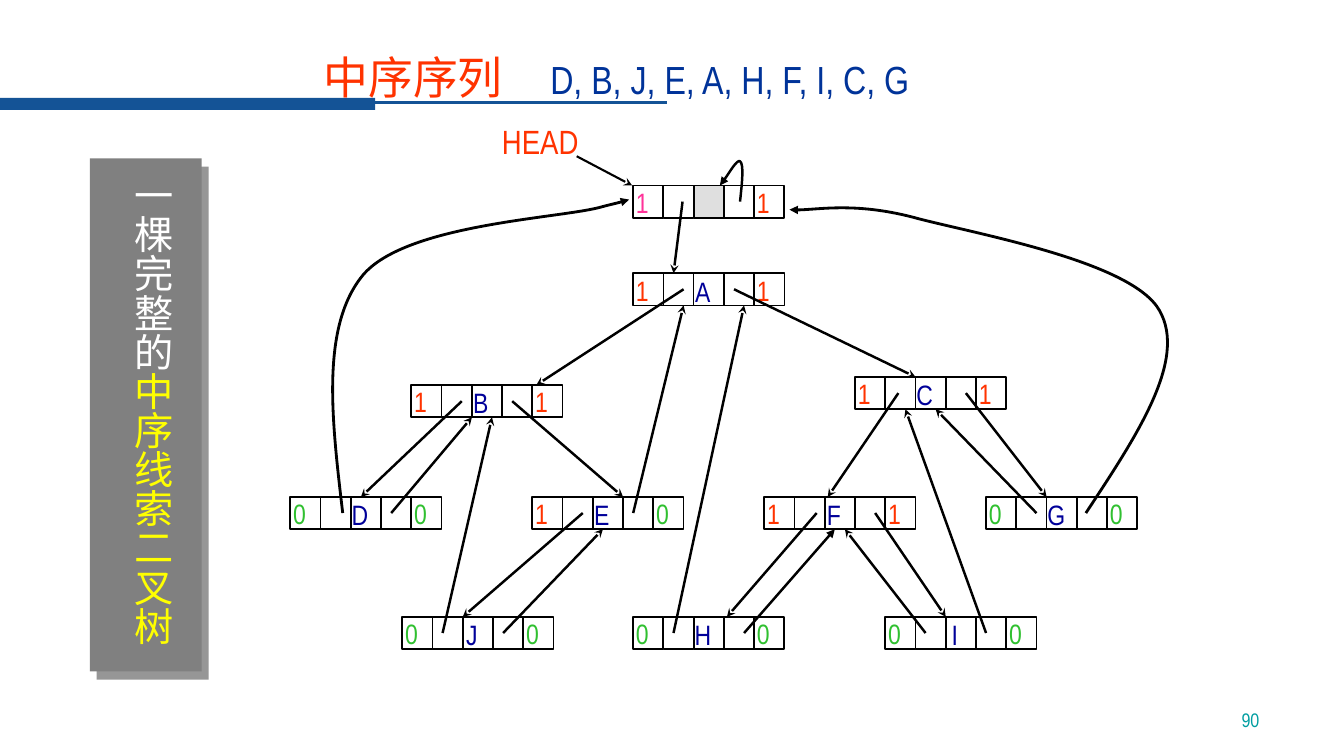
from dataclasses import dataclass

from lxml import etree
from pptx import Presentation
from pptx import util as u
from pptx.dml.color import RGBColor
from pptx.enum import shapes, text
from pptx.oxml.ns import qn

Inches, Pt = u.Inches, u.Pt


@dataclass(frozen=True)
class Theme:
    latin: str = "Arial Narrow"
    chinese: str = "Noto Sans CJK SC"
    rule: str = "145396"
    panel: str = "808080"
    panel_shadow: str = "969696"
    white: str = "FFFFFF"
    yellow: str = "FFFF00"
    black: str = "000000"
    red: str = "FF3300"
    pink: str = "FF3399"
    green: str = "30C030"
    letter: str = "000099"
    sequence: str = "003399"
    unused: str = "C0C0C0"
    page: str = "009EA1"
    title_size: int = 32
    heading_size: int = 28
    head_size: int = 24
    cell_size: int = 20
    page_size: int = 14


@dataclass(frozen=True)
class Box:
    x: float
    y: float
    w: float
    h: float

    def inner(self, dx, dy, w, h):
        return Box(self.x + dx, self.y + dy, w, h)

    def inches(self):
        return [Inches(v) for v in (self.x, self.y, self.w, self.h)]


THEME = Theme()
CELL_W, CELL_H, CELLS = 0.3, 0.32, 5

RECORDS = {
    "HEAD": (3.48, 0.74, "1", "1"),
    "A": (3.48, 1.61, "1", "1"),
    "B": (1.28, 2.72, "1", "1"),
    "C": (5.68, 2.64, "1", "1"),
    "D": (0.08, 3.83, "0", "0"),
    "E": (2.48, 3.83, "1", "0"),
    "F": (4.78, 3.83, "1", "1"),
    "G": (6.98, 3.83, "0", "0"),
    "J": (1.19, 5.02, "0", "0"),
    "H": (3.48, 5.02, "0", "0"),
    "I": (5.98, 5.02, "0", "0"),
}
CHILD_LINKS = [
    ("HEAD", 0.49, "A", 0.4), ("A", 0.5, "B", 1.24), ("A", 1.0, "C", 0.6),
    ("B", 0.5, "D", 0.7), ("B", 1.0, "E", 0.9), ("C", 0.43, "F", 0.63),
    ("C", 1.1, "G", 0.6), ("E", 0.5, "J", 0.6), ("F", 0.52, "H", 0.93),
    ("F", 1.1, "I", 0.6),
]
THREADS = [
    ("D", 1.0, "B", 0.6), ("J", 0.4, "B", 0.8), ("J", 1.0, "E", 0.7),
    ("E", 1.0, "A", 0.5), ("H", 0.4, "A", 1.1), ("H", 1.1, "F", 0.7),
    ("I", 0.4, "F", 0.8), ("I", 1.0, "C", 0.5), ("G", 0.5, "C", 0.8),
]
D_TO_HEAD = [(0.6, 3.99), (0.49, 3.06), (0.38, 2.14), (0.8, 1.63), (1.22, 1.13),
             (2.7, 1.07), (3.14, 0.96), (3.25, 0.93), (3.35, 0.91), (3.44, 0.88)]
G_TO_HEAD = [(7.97, 3.99), (8.47, 3.23), (8.98, 2.47), (8.7, 1.98), (8.43, 1.5),
             (6.93, 1.23), (6.31, 1.07), (5.7, 0.9), (5.21, 1.0), (5.03, 0.98)]
HEAD_TO_SELF = [(4.54, 0.9), (4.56, 0.71), (4.58, 0.53), (4.54, 0.5),
                (4.51, 0.48), (4.38, 0.7), (4.34, 0.74)]


def rgb(color):
    return RGBColor.from_string(color)


def style_line(shape, color, width, head=None):
    shape.line.color.rgb = rgb(color)
    shape.line.width = Pt(width)
    if head:
        etree.SubElement(shape.element.spPr.find(qn("a:ln")), qn("a:tailEnd"), type=head)


def add_rect(slide, box, fill=None):
    rect = slide.shapes.add_shape(shapes.MSO_SHAPE.RECTANGLE, *box.inches())
    rect.shadow.inherit = False
    if fill:
        rect.fill.solid()
        rect.fill.fore_color.rgb = rgb(fill)
    else:
        rect.fill.background()
    rect.line.fill.background()
    return rect


def add_line(slide, start, end, color, width, head=None):
    line = slide.shapes.add_connector(
        shapes.MSO_CONNECTOR.STRAIGHT, *[Inches(v) for v in (*start, *end)])
    style_line(line, color, width, head)
    etree.SubElement(line.element.spPr, qn("a:effectLst"))


def add_curve(slide, box, points, width):
    start, *rest = [(Inches(box.x + x), Inches(box.y + y)) for x, y in points]
    builder = slide.shapes.build_freeform(*start)
    builder.add_line_segments(rest, close=False)
    curve = builder.convert_to_shape()
    curve.shadow.inherit = False
    curve.fill.background()
    style_line(curve, THEME.black, width, "triangle")
    outline = curve.element.spPr.find(".//" + qn("a:path"))
    steps = outline.findall(qn("a:lnTo"))
    for i in range(0, len(steps), 3):
        bezier = etree.SubElement(outline, qn("a:cubicBezTo"))
        for step in steps[i:i + 3]:
            bezier.append(step[0])
            outline.remove(step)


def add_text(slide, box, words, size, color, font=THEME.latin, wrap=True, align=None):
    frame = slide.shapes.add_textbox(*box.inches()).text_frame
    frame.word_wrap = wrap
    frame.auto_size = text.MSO_AUTO_SIZE.SHAPE_TO_FIT_TEXT
    paragraph = frame.paragraphs[0]
    paragraph.add_run().text = words
    paragraph.font.size = Pt(size)
    paragraph.font.name = font
    paragraph.font.color.rgb = rgb(color)
    paragraph.alignment = align
    return frame


def add_shadow(parent, color, distance, angle):
    shadow = etree.SubElement(parent, qn("a:outerShdw"), dist=str(Pt(distance)),
                              dir=str(angle * 60000), algn="ctr", rotWithShape="0")
    etree.SubElement(shadow, qn("a:srgbClr"), val=color)


def shade_run(run):
    effects = etree.SubElement(run.font._element, qn("a:effectLst"))
    add_shadow(effects, THEME.black, 2, 45)


def draw_header(slide, box):
    add_rect(slide, box.inner(0, 0.53, 3.72, 0.12), THEME.rule)
    add_line(slide, (box.x + 3.68, box.y + 0.58), (box.x + 6.62, box.y + 0.58),
             THEME.rule, 2.25)
    add_text(slide, box.inner(5.36, 0.06, 6.44, 0.57), "D, B, J, E, A, H, F, I, C, G",
             THEME.heading_size, THEME.sequence)
    title = add_text(slide, box.inner(3.11, 0, 2.89, 0.64), "中序序列",
                     THEME.title_size, THEME.red, THEME.chinese)
    shade_run(title.paragraphs[0].runs[0])


def draw_side_panel(slide, box):
    panel = add_rect(slide, box, THEME.panel)
    add_shadow(panel.element.spPr.find(qn("a:effectLst")), THEME.panel_shadow, 7.8, 50)
    caption = add_text(slide, box.inner(-0.21, 0.08, 1.06, 4.94), "一棵完整的",
                       THEME.heading_size, THEME.white)
    caption._txBody.bodyPr.set("vert", "eaVert")
    paragraph = caption.paragraphs[0]
    paragraph.line_spacing = 0.9
    paragraph.add_run().text = "中序线索二叉树"
    for run, color in zip(paragraph.runs, (THEME.white, THEME.yellow)):
        run.font.color.rgb = rgb(color)
        shade_run(run)


def draw_record(slide, box, name, left_flag, right_flag):
    is_head = name == "HEAD"
    for i in range(CELLS):
        unused = is_head and i == 2
        cell = add_rect(slide, box.inner(i * CELL_W, 0, CELL_W, CELL_H),
                        THEME.unused if unused else None)
        style_line(cell, THEME.black, 1 if name == "A" else 1.25)
        if unused:
            tint = cell.element.spPr.find(qn("a:solidFill"))[0]
            etree.SubElement(tint, qn("a:alpha"), val="50000")
    for i, flag in ((0, left_flag), (CELLS - 1, right_flag)):
        color = THEME.red if flag == "1" else THEME.green
        if is_head and i == 0:
            color = THEME.pink
        add_text(slide, box.inner(i * CELL_W - 0.07, -0.05, 0.33, 0.44), flag,
                 THEME.cell_size, color, wrap=False)
    if not is_head:
        add_text(slide, box.inner(0.51, -0.04, 0.36, 0.44), name, THEME.cell_size,
                 THEME.letter, wrap=False, align=text.PP_ALIGN.CENTER)


def draw_tree(slide, box):
    add_text(slide, box.inner(2.08, 0.05, 1.68, 0.51), "HEAD", THEME.head_size, THEME.red)
    records = {}
    for name, (x, y, left_flag, right_flag) in RECORDS.items():
        records[name] = box.inner(x, y, CELLS * CELL_W, CELL_H)
        draw_record(slide, records[name], name, left_flag, right_flag)
    for links, edge in ((CHILD_LINKS, 0), (THREADS, CELL_H)):
        for source, start_dx, target, end_dx in links:
            a, b = records[source], records[target]
            add_line(slide, (a.x + start_dx, a.y + CELL_H / 2), (b.x + end_dx, b.y + edge),
                     THEME.black, 1.75, "triangle" if source + target == "HF" else "stealth")
    add_line(slide, (box.x + 2.92, box.y + 0.45), (box.x + 3.47, box.y + 0.74),
             THEME.black, 1.5, "stealth")
    for points, width in ((D_TO_HEAD, 2), (G_TO_HEAD, 2), (HEAD_TO_SELF, 1.75)):
        add_curve(slide, box, points, width)


def draw_page_number(slide, box):
    frame = add_text(slide, box, "90", THEME.page_size, THEME.page,
                     align=text.PP_ALIGN.RIGHT)
    frame.auto_size = text.MSO_AUTO_SIZE.NONE
    frame.vertical_anchor = text.MSO_ANCHOR.BOTTOM


def main():
    deck = Presentation()
    deck.slide_width, deck.slide_height = Inches(13.33), Inches(7.5)
    slide = deck.slides.add_slide(deck.slide_layouts[6])
    draw_header(slide, Box(0, 0.44, 13.33, 0.65))
    draw_side_panel(slide, Box(0.89, 1.57, 1.11, 5.09))
    draw_tree(slide, Box(2.8, 1.1, 9, 5.4))
    draw_page_number(slide, Box(9.81, 6.81, 2.78, 0.5))
    deck.save("out.pptx")


if __name__ == "__main__":
    main()
